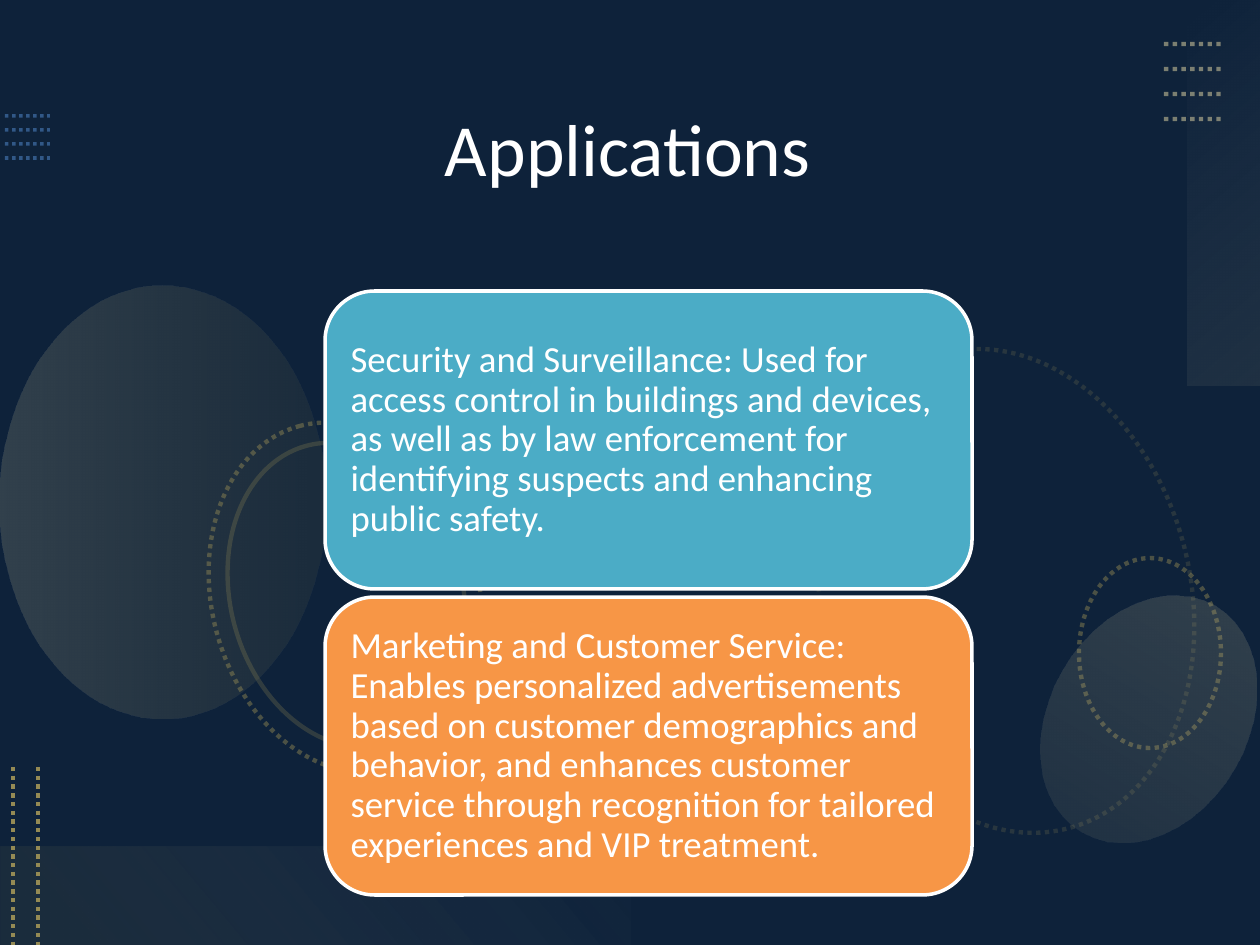
from lxml.etree import SubElement
from pptx import Presentation
from pptx.dml.color import RGBColor
from pptx.enum.dml import MSO_LINE
from pptx.enum.shapes import MSO_CONNECTOR, MSO_SHAPE
from pptx.enum.text import MSO_ANCHOR, PP_ALIGN
from pptx.oxml.ns import qn
from pptx.util import Emu, Pt

SCALE = 914400 / 126


def px(length):
    """Turn whole px into EMU."""
    return Emu(round(length * SCALE))


def rgb(value):
    """Turn a hex string into a colour."""
    return RGBColor.from_string(value)


def set_alpha(parent, percent):
    """Make the one solid colour under an element partly transparent."""
    if percent < 100:
        color = parent.find(".//" + qn("a:srgbClr"))
        SubElement(color, qn("a:alpha"), val=str(percent * 1000))


def write(frame, text, size=21, font="Calibri", color="FFFFFF",
          align=PP_ALIGN.LEFT, spacing=1.0, inset=11):
    """Write one formatted paragraph into a text frame."""
    frame.word_wrap = True
    frame.vertical_anchor = MSO_ANCHOR.MIDDLE
    frame.margin_left = frame.margin_right = px(inset)
    frame.margin_top = frame.margin_bottom = px(inset)
    para = frame.paragraphs[0]
    para.alignment = align
    para.line_spacing = spacing
    span = para.add_run()
    span.text = text
    span.font.size = Pt(size)
    span.font.name = font
    span.font.color.rgb = rgb(color)


class SlideBuilder:
    """Hold the style and the current slide."""

    dark, light = "948A54", "C4BD97"

    def __init__(self, page, background):
        """Start on a page with a plain background."""
        self.page = page
        page.background.fill.solid()
        page.background.fill.fore_color.rgb = rgb(background)

    def outline(self, item, color, width, dash=None, alpha=100):
        """Set the line of a shape or connector."""
        item.line.color.rgb = rgb(color)
        item.line.width = Pt(width)
        if dash:
            item.line.dash_style = dash
        set_alpha(item.element.spPr.find(qn("a:ln")), alpha)

    def shape(self, kind, left, top, width, height, fill=None, alpha=100, turn=0):
        """Add a preset shape without line or shadow."""
        box = self.page.shapes.add_shape(kind, px(left), px(top), px(width), px(height))
        box.shadow.inherit = False
        box.rotation = turn
        box.line.fill.background()
        if fill:
            box.fill.solid()
            box.fill.fore_color.rgb = rgb(fill)
            set_alpha(box.element.spPr, alpha)
        else:
            box.fill.background()
        return box

    def glow(self, kind, place, turn, stops, angle):
        """Add a shape with a transparent gradient."""
        box = self.shape(kind, *place, turn=turn)
        empty = box.element.spPr.find(qn("a:noFill"))
        gradient = empty.makeelement(qn("a:gradFill"), {"rotWithShape": "1"})
        stop_list = SubElement(gradient, qn("a:gsLst"))
        for position, color, alpha in stops:
            stop = SubElement(stop_list, qn("a:gs"), pos=str(position * 1000))
            tint = SubElement(stop, qn("a:srgbClr"), val=color)
            SubElement(tint, qn("a:alpha"), val=str(alpha * 1000))
        SubElement(gradient, qn("a:lin"), ang=str(angle * 60000), scaled="0")
        box.element.spPr.replace(empty, gradient)

    def ring(self, place, turn, alpha, dash=MSO_LINE.ROUND_DOT):
        """Add an unfilled ellipse."""
        box = self.shape(MSO_SHAPE.OVAL, *place, turn=turn)
        self.outline(box, self.dark, 2.5, dash, alpha)

    def dots(self, start, end, color, width=2.5, alpha=100):
        """Add a dotted straight line."""
        line = self.page.shapes.add_connector(
            MSO_CONNECTOR.STRAIGHT, *map(px, start), *map(px, end))
        self.outline(line, color, width, MSO_LINE.ROUND_DOT, alpha)
        SubElement(line.element.spPr, qn("a:effectLst"))

    def title(self, text, left, top, width, height):
        """Place and fill the title placeholder."""
        box = self.page.shapes.title
        box.left, box.top, box.width, box.height = map(px, (left, top, width, height))
        write(box.text_frame, text, size=42, align=PP_ALIGN.CENTER)
        self.page.shapes._spTree.append(box.element)

    def card(self, text, top, fill):
        """Add a rounded card with its text."""
        box = self.shape(MSO_SHAPE.ROUNDED_RECTANGLE, 325, top, 647, 298, fill)
        self.outline(box, "FFFFFF", 2)
        write(box.text_frame, text, spacing=0.9)


def main():
    """Build the applications slide."""
    deck = Presentation()
    deck.slide_width, deck.slide_height = px(1260), px(945)
    slide = SlideBuilder(deck.slides.add_slide(deck.slide_layouts[5]), "1F497D")
    dark, light = slide.dark, slide.light
    oval, rect = MSO_SHAPE.OVAL, MSO_SHAPE.RECTANGLE

    slide.shape(rect, 0, 0, 1260, 945, "000000", alpha=53)
    for row in range(4):
        y = 116 + 14 * row
        slide.dots((5, y), (50, y), "558ED5", width=2, alpha=50)

    slide.ring((760, 407, 491, 368), 75, alpha=20)
    slide.ring((1055, 582, 190, 142), 270, alpha=45)
    slide.glow(oval, (-54, 340, 433, 325), 270, [(0, light, 20), (100, dark, 10)], 90)
    slide.glow(oval, (1050, 588, 197, 262), 210, [(0, light, 10), (100, light, 20)], 90)
    slide.ring((168, 464, 355, 267), 75, alpha=45)
    slide.ring((192, 479, 309, 232), 75, alpha=25, dash=None)

    slide.glow(rect, (1031, 156, 386, 73), 270, [(0, "F8F7F3", 0), (100, light, 10)], 140)
    for row in range(4):
        y = 44 + 25 * row
        slide.dots((1164, y), (1221, y), light, alpha=60)
    slide.glow(rect, (0, 847, 630, 98), 180, [(10, dark, 10), (100, "F5F4ED", 0)], 140)
    for x in (38, 13):
        slide.dots((x, 767), (x, 945), dark)

    slide.title(" Applications", 210, 32, 819, 231)
    cards = [
        ("Security and Surveillance: Used for access control in buildings and devices, "
         "as well as by law enforcement for identifying suspects and enhancing "
         "public safety.", "4BACC6"),
        ("Marketing and Customer Service: Enables personalized advertisements based on "
         "customer demographics and behavior, and enhances customer service through "
         "recognition for tailored experiences and VIP treatment.", "F79646"),
    ]
    for index, (text, fill) in enumerate(cards):
        slide.card(text, 291 + 306 * index, fill)
    deck.save("out.pptx")


if __name__ == "__main__":
    main()
